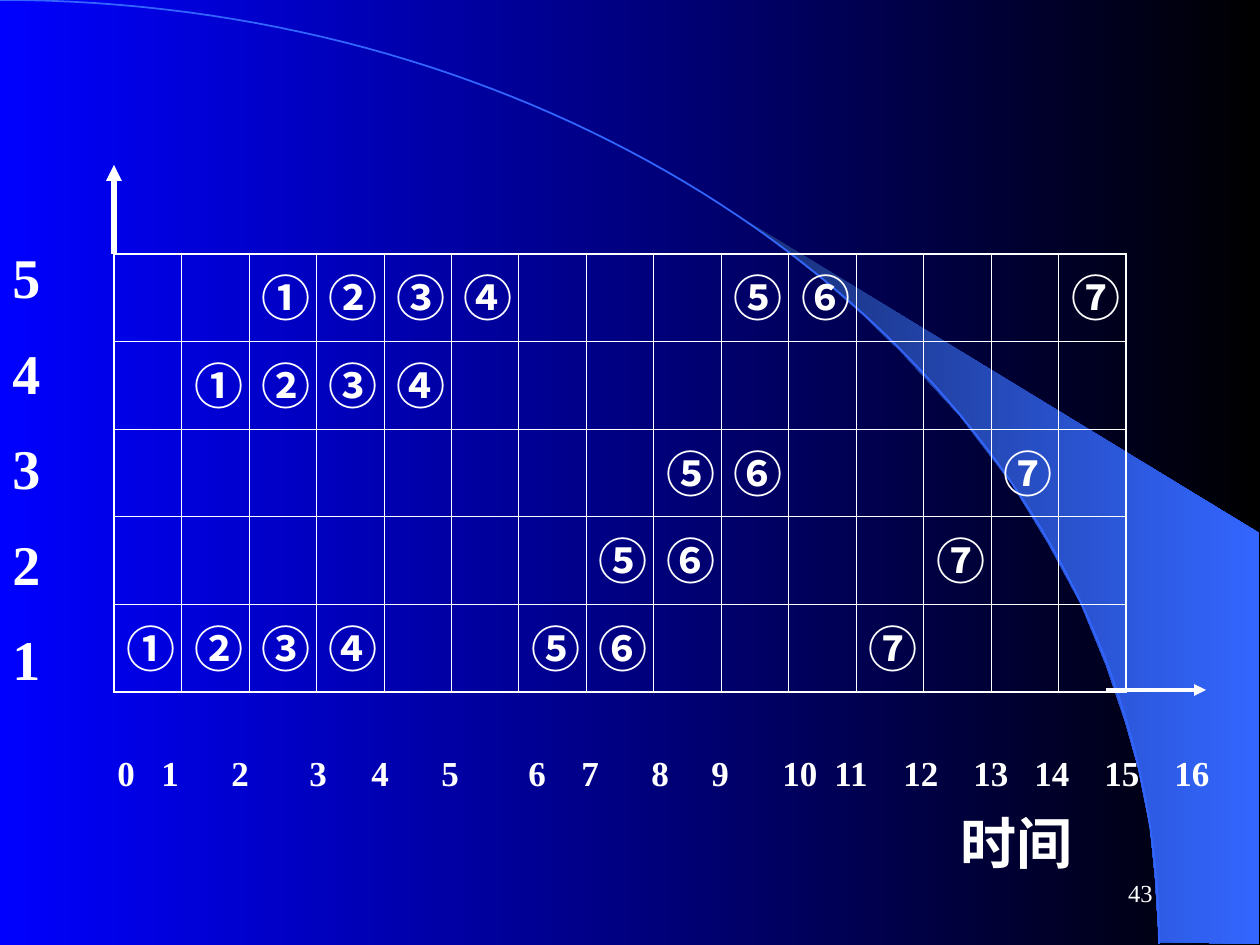
import pptx
import pptx.dml.color
import pptx.enum.shapes
import pptx.enum.text
import pptx.oxml
import pptx.oxml.ns
import pptx.util
from lxml import etree

EMU_PER_PX = 914400 / 126
ALIGN = pptx.enum.text.PP_ALIGN
ANCHOR = pptx.enum.text.MSO_ANCHOR

# Pipeline occupancy, top segment first; "·" is an idle time slot
SCHEDULE = [
    "··①②③④···⑤⑥···⑦",
    "·①②③④··········",
    "········⑤⑥···⑦·",
    "·······⑤⑥···⑦··",
    "①②③④··⑤⑥···⑦···",
]
SEGMENTS = ["5", "4", "3", "2", "1"]
TIME_STOPS = [44, 114, 192, 254, 324, 411, 464, 534, 594,
              665, 717, 786, 856, 917, 987, 1057]
WEDGE = [(1159, 942), (1259, 944), (1259, 533), (742, 218), (786, 251),
         (823, 280), (863, 315), (902, 353), (960, 416), (1012, 484),
         (1048, 543), (1081, 604), (1106, 665), (1125, 721), (1138, 767),
         (1150, 827), (1155, 877), (1159, 942)]
ARC_CONTROLS = [(0, 0), (640, 0), (1159, 422), (1159, 944)]


def px(length):
    return pptx.util.Emu(round(length * EMU_PER_PX))


def color(value):
    return pptx.dml.color.RGBColor.from_string(value)


def child(parent, tag, **attributes):
    return etree.SubElement(parent, pptx.oxml.ns.qn(tag), attributes)


def paint_gradient(fill, colors):
    fill.gradient()
    fill.gradient_angle = 0
    for stop, value in zip(fill.gradient_stops, colors):
        stop.color.rgb = color(value)


def write(paragraph, text, size, font="Times New Roman", bold=True,
          ink="FFFFFF", align=ALIGN.LEFT, line=None, before=0, stops=()):
    if stops:
        tabs = child(paragraph._p.get_or_add_pPr(), "a:tabLst")
        for stop in stops:
            child(tabs, "a:tab", pos=str(px(stop)), algn="l")
    paragraph.alignment = align
    paragraph.line_spacing = line
    paragraph.space_before = pptx.util.Pt(before)
    run = paragraph.add_run()
    run.text = text
    run.font.size = pptx.util.Pt(size)
    run.font.bold = bold
    run.font.name = font
    run.font.color.rgb = color(ink)
    child(run._r.get_or_add_rPr(), "a:ea", typeface="Noto Sans CJK SC")


def bezier(controls, steps):
    points = []
    for step in range(steps + 1):
        t = step / steps
        weights = ((1 - t) ** 3, 3 * t * (1 - t) ** 2, 3 * t * t * (1 - t), t ** 3)
        points.append(tuple(sum(w * c[axis] for w, c in zip(weights, controls))
                            for axis in (0, 1)))
    return points


class SlideBuilder:
    ink = "FFFFFF"
    accent = "3366FF"

    def __init__(self, slide):
        self.slide = slide

    def background(self, colors):
        paint_gradient(self.slide.background.fill, colors)

    def outline(self, points, closed):
        # The builder rounds local coordinates, so they are given in EMU
        scaled = [(px(x), px(y)) for x, y in points]
        builder = self.slide.shapes.build_freeform(*scaled[0])
        builder.add_line_segments(scaled[1:], close=closed)
        shape = builder.convert_to_shape()
        shape.shadow.inherit = False
        return shape

    def wedge(self, points, colors):
        shape = self.outline(points, True)
        paint_gradient(shape.fill, colors)
        shape.line.fill.background()

    def curve(self, points):
        shape = self.outline(points, False)
        shape.fill.background()
        shape.line.color.rgb = color(self.accent)
        shape.line.width = pptx.util.Pt(1)

    def text(self, box, lines, size, between=0, anchor=ANCHOR.TOP, **style):
        frame = self.slide.shapes.add_textbox(*map(px, box)).text_frame
        frame.word_wrap = True
        frame.vertical_anchor = anchor
        for index, line in enumerate(lines):
            paragraph = frame.add_paragraph() if index else frame.paragraphs[0]
            write(paragraph, line, size, before=between if index else 0, **style)

    def arrow(self, start, end, width):
        line = self.slide.shapes.add_connector(
            pptx.enum.shapes.MSO_CONNECTOR.STRAIGHT, *map(px, start + end))
        line.line.color.rgb = color(self.ink)
        line.line.width = pptx.util.Pt(width)
        child(line.line._get_or_add_ln(), "a:tailEnd", type="triangle")
        child(line._element.spPr, "a:effectLst")

    def borders(self, cell, heavy_sides):
        properties = cell._tc.get_or_add_tcPr()
        for index, side in enumerate("LRTB"):
            width = 1.08 if side in heavy_sides else 0.45
            border = etree.Element(pptx.oxml.ns.qn("a:ln" + side),
                                   w=str(pptx.util.Pt(width)))
            child(child(border, "a:solidFill"), "a:srgbClr", val=self.ink)
            properties.insert(index, border)

    def schedule(self, box, rows):
        row_count, column_count = len(rows), len(rows[0])
        left, top, width, height = map(px, box)
        table = self.slide.shapes.add_table(
            row_count, column_count, left, top, width, height).table
        table.first_row = table.horz_banding = False
        for r, row in enumerate(rows):
            for c, task in enumerate(row):
                cell = table.cell(r, c)
                cell.fill.background()
                edges = {"L": c == 0, "R": c == column_count - 1,
                         "T": r == 0, "B": r == row_count - 1}
                self.borders(cell, [side for side, outer in edges.items() if outer])
                if task != "·":
                    write(cell.text_frame.paragraphs[0], task, 28,
                          font="Noto Sans CJK SC")


def main():
    deck = pptx.Presentation()
    deck.slide_width, deck.slide_height = px(1260), px(945)
    page = SlideBuilder(deck.slides.add_slide(deck.slide_layouts[6]))

    # Backdrop
    page.background(["0000FF", "000000"])
    page.wedge(WEDGE, ["182F76", "3366FF"])
    page.curve(bezier(ARC_CONTROLS, 80))
    page.text((903, 861, 262, 63), ["43"], 14, bold=False,
              align=ALIGN.RIGHT, anchor=ANCHOR.MIDDLE)

    # Space-time diagram
    page.schedule((114, 254, 1012, 438), SCHEDULE)
    page.arrow((114, 254), (114, 165), 3)
    page.text((0, 244, 105, 456), SEGMENTS, 32, between=20, line=0.9)

    # Time axis
    page.arrow((1106, 690), (1206, 690), 2.25)
    page.text((105, 750, 1155, 50), ["\t".join(map(str, range(17)))], 20,
              line=0.9, stops=TIME_STOPS)
    page.text((948, 810, 267, 73), ["时间"], 32, line=0.9)

    deck.save("out.pptx")


if __name__ == "__main__":
    main()
